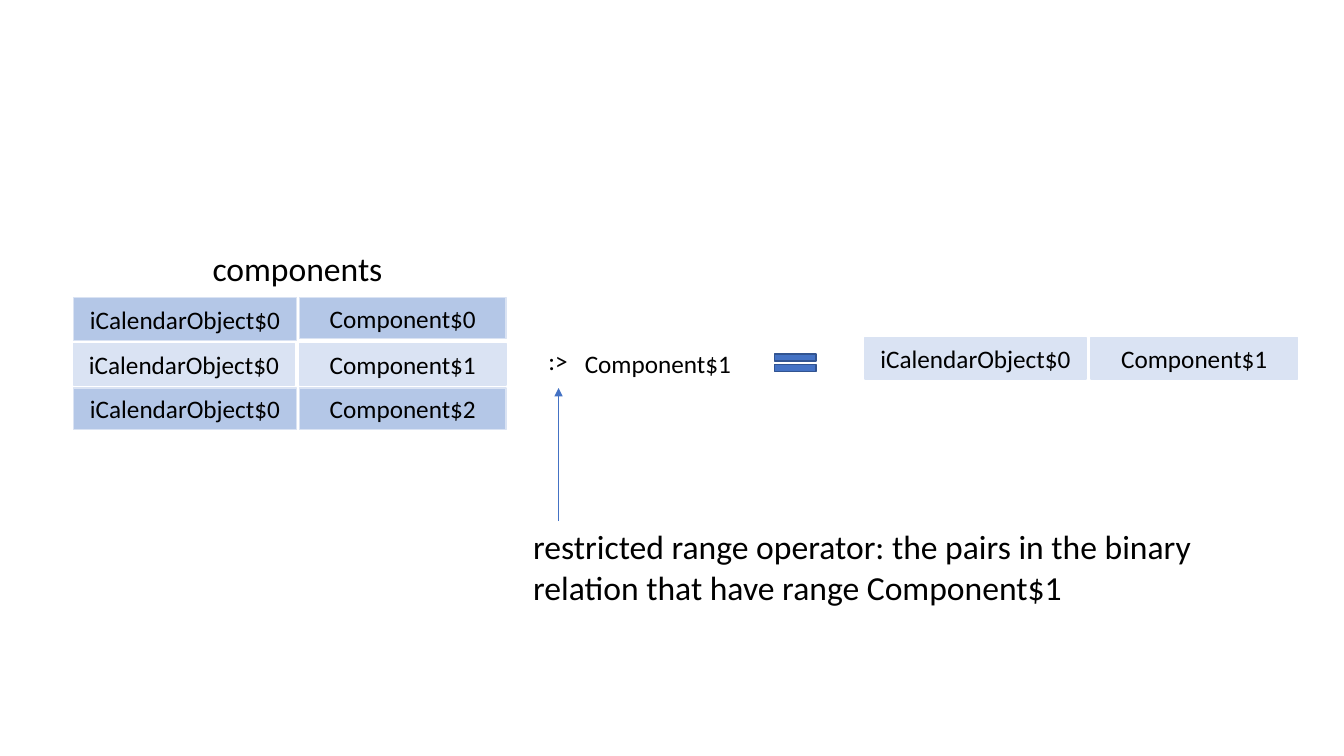
from dataclasses import dataclass

from lxml import etree
from pptx import Presentation
from pptx import util as u
from pptx.dml.color import RGBColor
from pptx.enum import shapes, text
from pptx.oxml import ns


@dataclass(frozen=True)
class Theme:
    font: str = "Calibri"
    ink: str = "000000"
    strong: str = "B4C7E7"
    pale: str = "DAE3F3"
    accent: str = "4472C4"
    accent_edge: str = "325491"
    body: int = 18
    large: int = 24


THEME = Theme()
CENTER = text.PP_ALIGN.CENTER
LEFT = text.PP_ALIGN.LEFT
CELL_HEIGHT = 0.41
COMPONENT_OFFSET = 2.24
COMPONENT_WIDTH = 2.05


def inches(*lengths):
    return [u.Inches(length) for length in lengths]


def write(shape, wording, size, align):
    paragraph = shape.text_frame.paragraphs[0]
    paragraph.alignment = align
    run = paragraph.add_run()
    run.text = wording
    run.font.name = THEME.font
    run.font.size = u.Pt(size)
    run.font.color.rgb = RGBColor.from_string(THEME.ink)


def add_label(slide, box, wording, size, align=LEFT, wrap=False):
    label = slide.shapes.add_textbox(*inches(*box))
    label.text_frame.word_wrap = wrap
    label.text_frame.auto_size = text.MSO_AUTO_SIZE.SHAPE_TO_FIT_TEXT
    write(label, wording, size, align)


def add_filled(slide, kind, box, fill, edge):
    shape = slide.shapes.add_shape(kind, *inches(*box))
    shape.shadow.inherit = False
    shape.fill.solid()
    shape.fill.fore_color.rgb = RGBColor.from_string(fill)
    shape.line.color.rgb = RGBColor.from_string(edge)
    shape.line.width = u.Pt(1)
    return shape


def add_pair(slide, left, top, component, fill, object_width=2.19, object_height=CELL_HEIGHT):
    """One pair of the relation: an object cell and a component cell."""
    cells = (
        ("iCalendarObject$0", (left, top, object_width, object_height)),
        (component, (left + COMPONENT_OFFSET, top, COMPONENT_WIDTH, CELL_HEIGHT)),
    )
    for wording, box in cells:
        cell = add_filled(slide, shapes.MSO_SHAPE.RECTANGLE, box, fill, THEME.pale)
        cell.text_frame.word_wrap = True
        cell.text_frame.vertical_anchor = text.MSO_ANCHOR.MIDDLE
        write(cell, wording, THEME.body, CENTER)


def add_relation(slide, left, top):
    """The full relation with its title; the matching pair is pale."""
    add_label(slide, (left + 1.28, top, 1.9, 0.5), "components", THEME.large)
    add_pair(slide, left, top + 0.54, "Component$0", THEME.strong, 2.21, 0.43)
    add_pair(slide, left, top + 1, "Component$1", THEME.pale)
    add_pair(slide, left, top + 1.44, "Component$2", THEME.strong, 2.21)


def add_expression(slide, left, top):
    """The operator, its operand and the equals sign."""
    add_label(slide, (left, top, 0.4, 0.4), ":>", THEME.body)
    add_label(slide, (left + 0.35, top + 0.03, 1.67, 0.4), "Component$1", THEME.body, CENTER)
    add_filled(slide, shapes.MSO_SHAPE.MATH_EQUAL, (left + 2.27, top + 0.07, 0.56, 0.3),
               THEME.accent, THEME.accent_edge)


def add_explanation(slide, left, top):
    """The note on the operator, with an arrow up to it."""
    arrow_x = left + 0.35
    arrow = slide.shapes.add_connector(
        shapes.MSO_CONNECTOR.STRAIGHT, *inches(arrow_x, top, arrow_x, top - 1.32))
    arrow.line.color.rgb = RGBColor.from_string(THEME.accent)
    arrow.line.width = u.Pt(0.5)
    etree.SubElement(arrow.line._get_or_add_ln(), ns.qn("a:tailEnd"), type="triangle")
    etree.SubElement(arrow._element.spPr, ns.qn("a:effectLst"))
    add_label(slide, (left, top, 6.88, 0.91),
              "restricted range operator: the pairs in the binary relation "
              "that have range Component$1", THEME.large, wrap=True)


def main():
    presentation = Presentation()
    presentation.slide_width, presentation.slide_height = inches(13.33, 7.5)
    slide = presentation.slides.add_slide(presentation.slide_layouts[6])
    add_relation(slide, 0.73, 2.41)
    add_expression(slide, 5.34, 3.38)
    add_pair(slide, 8.58, 3.35, "Component$1", THEME.pale)
    add_explanation(slide, 5.19, 5.17)
    presentation.save("out.pptx")


if __name__ == "__main__":
    main()
